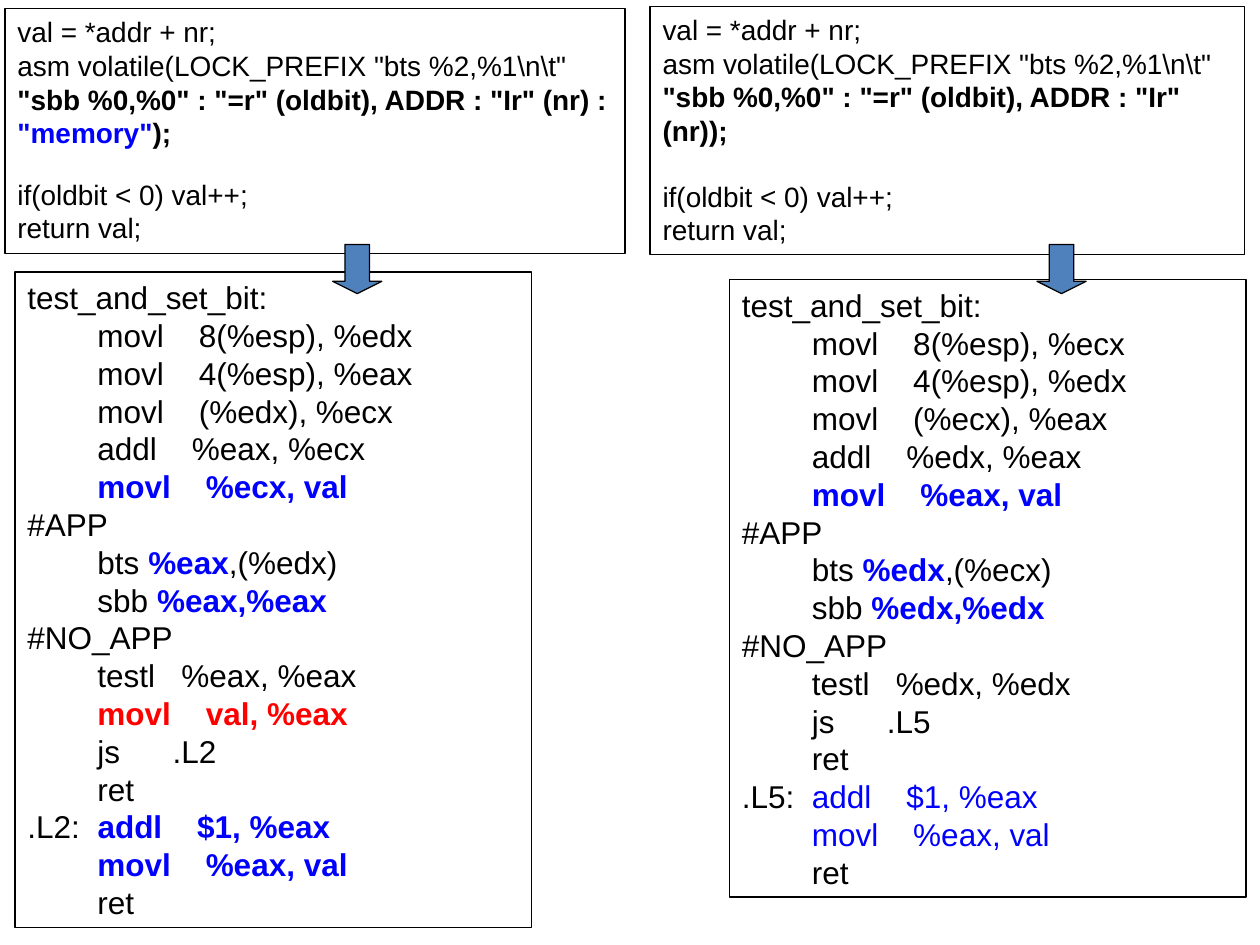
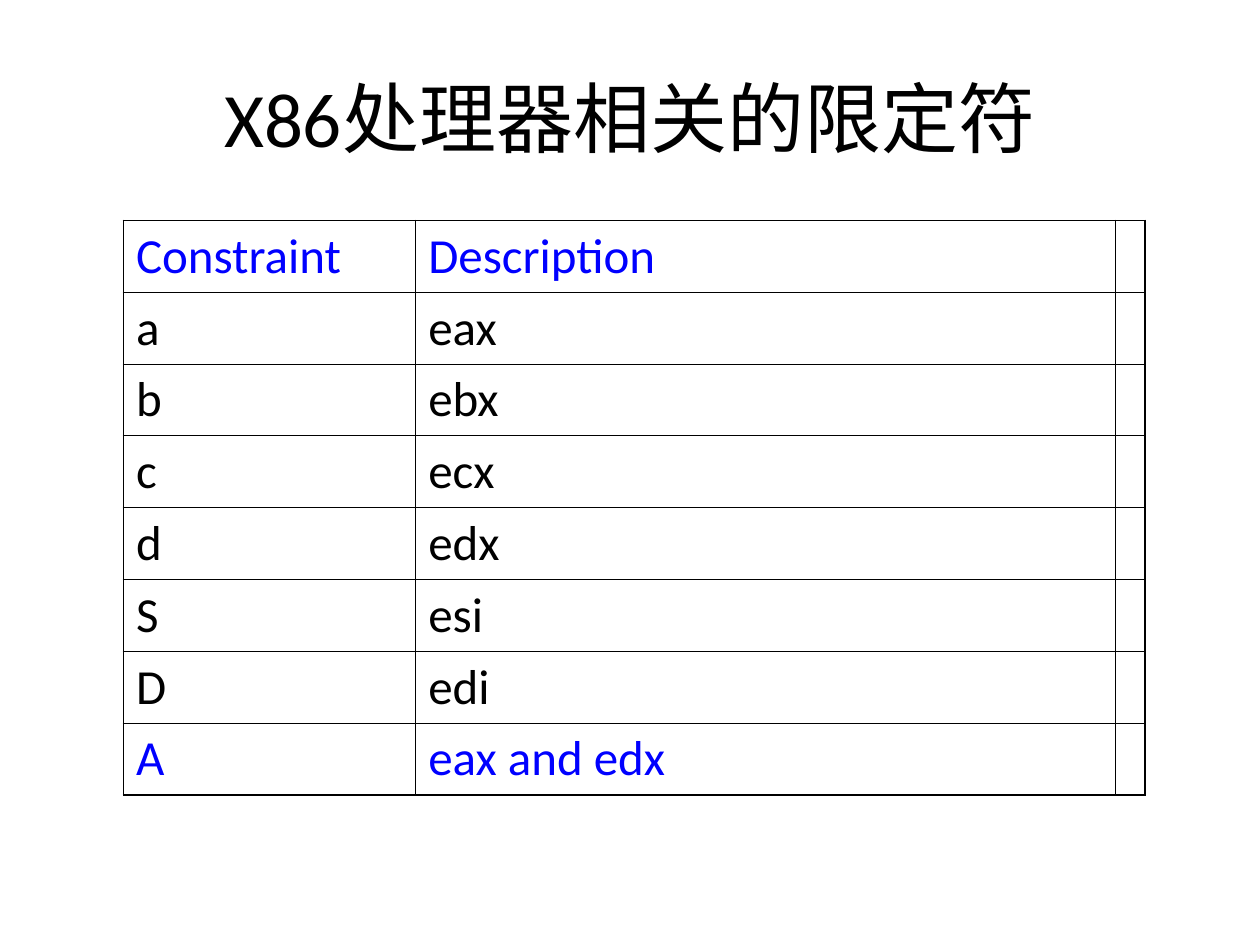
"""Two slides: inline assembly with and without a memory clobber, and the x86 constraints."""
from lxml import etree
from pptx import Presentation
from pptx.dml.color import RGBColor
from pptx.enum.shapes import MSO_SHAPE
from pptx.enum.text import MSO_ANCHOR, MSO_AUTO_SIZE, PP_ALIGN
from pptx.oxml.ns import qn
from pptx.util import Inches, Pt

RECT, DOWN_ARROW = MSO_SHAPE.RECTANGLE, MSO_SHAPE.DOWN_ARROW
TOP, MIDDLE = MSO_ANCHOR.TOP, MSO_ANCHOR.MIDDLE
LEFT, CENTER = PP_ALIGN.LEFT, PP_ALIGN.CENTER
GROW = MSO_AUTO_SIZE.SHAPE_TO_FIT_TEXT

COLORS = {"black": "000000", "blue": "0000FF", "red": "FF0000", "arrow": "4F81BD"}
RGB = {name: RGBColor.from_string(value) for name, value in COLORS.items()}
CODE_FONT, TEXT_FONT = "Arial", "Calibri"

prs = Presentation()
prs.slide_width, prs.slide_height = Inches(10), Inches(7.5)
COL, ROW = prs.slide_width / 100, prs.slide_height / 75
blank = prs.slide_layouts[6]


def place(left, top, width, height):
    """Turn grid columns and rows into slide lengths."""
    return int(left * COL), int(top * ROW), int(width * COL), int(height * ROW)


def add_outlined(s, kind, area):
    """Add a preset shape with the thin black outline."""
    sp = s.shapes.add_shape(kind, *place(*area))
    sp.shadow.inherit = False
    sp.fill.background()
    sp.line.color.rgb = RGB["black"]
    sp.line.width = Pt(0.75)
    return sp


asm_with_memory = [
    ["test_and_set_bit:"],
    ["        movl    8(%esp), %edx"],
    ["        movl    4(%esp), %eax"],
    ["        movl    (%edx), %ecx"],
    ["        addl    %eax, %ecx"],
    ["        ", ("movl    %ecx, val", "blue", True)],
    ["#APP"],
    ["        bts ", ("%eax", "blue", True), ",(%edx)"],
    ["        sbb ", ("%eax,%eax", "blue", True)],
    ["#NO_APP"],
    ["        testl   %eax, %eax"],
    ["        ", ("movl    val, %eax", "red", True)],
    ["        js      .L2"],
    ["        ret"],
    [".L2:  ", ("addl    $1, %eax", "blue", True)],
    [("        movl    %eax, val", "blue", True)],
    ["        ret"],
]
asm_without_memory = [
    ["test_and_set_bit:"],
    ["        movl    8(%esp), %ecx"],
    ["        movl    4(%esp), %edx"],
    ["        movl    (%ecx), %eax"],
    ["        addl    %edx, %eax"],
    ["        ", ("movl    %eax, val", "blue", True)],
    ["#APP"],
    ["        bts ", ("%edx", "blue", True), ",(%ecx)"],
    ["        sbb ", ("%edx,%edx", "blue", True)],
    ["#NO_APP"],
    ["        testl   %edx, %edx"],
    ["        js      .L5"],
    ["        ret"],
    [".L5:  ", ("addl    $1, %eax", "blue", False)],
    [("        movl    %eax, val", "blue", False)],
    ["        ret"],
]
c_head = [["val = *addr + nr;"], [r'asm volatile(LOCK_PREFIX "bts %2,%1\n\t"']]
c_tail = [["if(oldbit < 0) val++;"], ["return val;"]]
sbb = '"sbb %0,%0" : "=r" (oldbit), ADDR : "Ir" (nr)'
c_without_memory = c_head + [[(sbb + ");", "black", True)]] + c_tail
c_with_memory = c_head + [[(sbb + " : ", "black", True), ('"memory"', "blue", True),
                           (");", "black", True)]] + c_tail

code_boxes = [
    ((1.2, 21.6, 41, 52), 18, 0, asm_with_memory),
    ((57.9, 22.2, 41, 49), 18, 0, asm_without_memory),
    ((51.6, 0.5, 47.2, 19.7), 16, 18.5, c_without_memory),
    ((0.4, 0.7, 49.2, 19.4), 16, 16, c_with_memory),
]

s = prs.slides.add_slide(blank)
for area, size, gap, lines in code_boxes:
    tf = add_outlined(s, RECT, area).text_frame
    tf.word_wrap, tf.auto_size, tf.vertical_anchor = True, GROW, TOP
    for i, line in enumerate(lines):
        p = tf.paragraphs[0] if i == 0 else tf.add_paragraph()
        p.alignment = LEFT
        if gap and line == c_tail[0]:
            p.space_before = Pt(gap)
        p.font.name, p.font.size = CODE_FONT, Pt(size)
        p.font.color.rgb = RGB["black"]
        for part in line:
            text, color, bold = (part, "black", False) if isinstance(part, str) else part
            r = p.add_run()
            r.text = text
            r.font.bold = bold
            r.font.color.rgb = RGB[color]

for left in (26.4, 82.3):
    sp = add_outlined(s, DOWN_ARROW, (left, 19.4, 3.9, 3.9))
    sp.adjustments[0], sp.adjustments[1] = 0.5, 0.25
    sp.fill.solid()
    sp.fill.fore_color.rgb = RGB["arrow"]

s = prs.slides.add_slide(blank)
tf = s.shapes.add_textbox(*place(5, 3, 90, 12.5)).text_frame
tf.word_wrap, tf.vertical_anchor = True, MIDDLE
p = tf.paragraphs[0]
p.text = "X86处理器相关的限定符"
p.alignment = CENTER
p.font.name, p.font.size = TEXT_FONT, Pt(44)
p.font.color.rgb = RGB["black"]

constraints = [
    ("Constraint", "Description"), ("a", "eax"), ("b", "ebx"), ("c", "ecx"),
    ("d", "edx"), ("S", "esi"), ("D", "edi"), ("A", "eax and edx"),
]
col_widths = (23.2, 55.5, 2.4)
last_row, last_col = len(constraints) - 1, len(col_widths) - 1
table = s.shapes.add_table(last_row + 1, last_col + 1, *place(9.8, 17.5, 81.1, 45.5)).table
table.first_row = table.horz_banding = False
for column, width in zip(table.columns, col_widths):
    column.width = int(width * COL)
for i, row in enumerate(constraints):
    table.rows[i].height = int(5.7 * ROW)
    for j in range(last_col + 1):
        cell = table.cell(i, j)
        cell.fill.background()
        if j < len(row):
            p = cell.text_frame.paragraphs[0]
            p.text = row[j]
            p.font.name, p.font.size = TEXT_FONT, Pt(28)
            p.font.color.rgb = RGB["blue" if i in (0, last_row) else "black"]
        outer = {"L": j == 0, "R": j == last_col, "T": i == 0, "B": i == last_row}
        tc_pr = cell._tc.get_or_add_tcPr()
        for k, (side, is_outer) in enumerate(outer.items()):
            ln = etree.Element(qn(f"a:ln{side}"), w=str(Pt(1.08 if is_outer else 0.45)))
            fill = etree.SubElement(ln, qn("a:solidFill"))
            etree.SubElement(fill, qn("a:srgbClr"), val=COLORS["black"])
            tc_pr.insert(k, ln)

prs.save("out.pptx")
